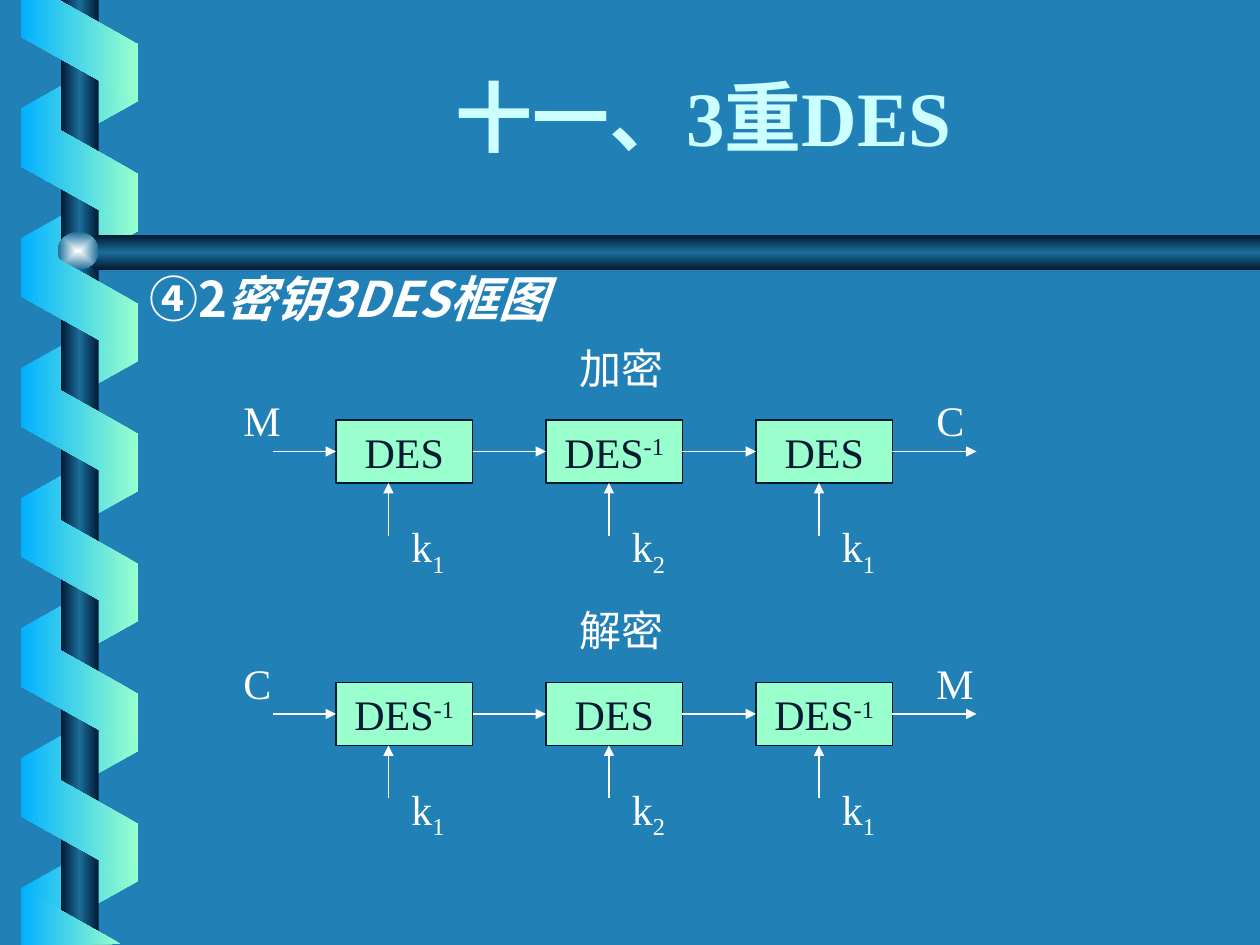
"""Builds the slide on two-key triple DES: encryption and decryption chains."""
from dataclasses import dataclass

from lxml import etree
from pptx import Presentation
from pptx import util as u
from pptx.dml.color import RGBColor
from pptx.enum import shapes, text
from pptx.oxml import parse_xml
from pptx.oxml.ns import nsdecls, qn


@dataclass(frozen=True)
class Theme:
    """Colours, fonts and type sizes of the slide."""
    ground: str = "2181B7"
    heading: str = "CCFFFF"
    light: str = "FFFFFF"
    dark: str = "001932"
    mint: str = "99FFCC"
    sky: str = "01B0FF"
    steel: str = "1C6D9A"
    glint: str = "FEFFFF"
    serif: str = "Times New Roman"
    condensed: str = "Roboto Condensed"
    cjk: str = "Noto Sans CJK SC"
    title_size: int = 44
    body_size: int = 28
    label_size: int = 24
    line_width: float = 0.75


THEME = Theme()
COLUMNS, ROWS = 120, 90
BLOCK_COLUMNS = (32, 52, 72)
KEY_COLUMNS = (37, 58, 78)
FLOW_COLUMNS = ((26, 32), (45, 52), (65, 72), (85, 93))
RIBBON_PITCH = 12.38


def cells(*counts):
    """Convert grid cells of a twelfth of an inch to lengths."""
    return [u.Inches(count / 12) for count in counts]


def paint_gradient(shape, stops, angle=None):
    """Fill a shape with a linear gradient, or one from its centre if no angle is given."""
    marks = "".join(
        f'<a:gs pos="{place * 1000}"><a:srgbClr val="{color}"/></a:gs>' for place, color in stops)
    if angle is None:
        course = '<a:path path="rect"><a:fillToRect l="50000" t="50000" r="50000" b="50000"/></a:path>'
    else:
        course = f'<a:lin ang="{angle * 60000}" scaled="0"/>'
    shape.shadow.inherit = False
    shape.line.fill.background()
    shape.fill.solid()
    solid = shape._element.spPr.find(qn("a:solidFill"))
    solid.getparent().replace(solid, parse_xml(
        f'<a:gradFill {nsdecls("a")} rotWithShape="0"><a:gsLst>{marks}</a:gsLst>{course}</a:gradFill>'))


def add_preset(slide, kind, *box):
    """Add a preset shape on a box of grid cells."""
    return slide.shapes.add_shape(kind, *cells(*box))


def add_outline(slide, points):
    """Add a closed outline through grid points."""
    start, *rest = [cells(*point) for point in points]
    builder = slide.shapes.build_freeform(*start, scale=1.0)
    builder.add_line_segments(rest, close=True)
    return builder.convert_to_shape()


def add_ribbons(slide, first_row, count, in_front):
    """Add one evenly spaced side of the spiral ribbon."""
    colors = (THEME.mint, THEME.sky) if in_front else (THEME.sky, THEME.mint)
    for turn in range(count):
        ribbon = add_preset(slide, shapes.MSO_SHAPE.PARALLELOGRAM,
                            1.68, first_row + turn * RIBBON_PITCH, 11.76, 11.16)
        ribbon.adjustments[0] = 0.56
        ribbon.rotation = 270 if in_front else 90
        if not in_front:
            ribbon._element.spPr.xfrm.set("flipH", "1")
        paint_gradient(ribbon, zip((0, 100), colors), 180)


def add_ornament(slide):
    """Add the spiral, its spine and the rail below the title."""
    metal = ((0, THEME.dark), (50, THEME.steel), (100, THEME.dark))
    add_ribbons(slide, 4.4, 7, False)
    spine = add_preset(slide, shapes.MSO_SHAPE.RECTANGLE, 5.8, 0, 3.6, ROWS)
    paint_gradient(spine, metal, 180)
    rail = add_outline(slide, ((COLUMNS, 22.4), (9.1, 22.4), (7.2, 24), (9.1, 25.7), (COLUMNS, 25.7)))
    paint_gradient(rail, metal, 90)
    knob = add_preset(slide, shapes.MSO_SHAPE.OVAL, 5.5, 22.1, 3.9, 3.6)
    paint_gradient(knob, ((0, THEME.glint), (100, THEME.steel)))
    add_ribbons(slide, 10.6, 6, True)
    ribbon_ends = (
        ((2, 0), (2, 3.5), (13.1, 9.7), (13.1, 4.2), (5.6, 0)),
        ((11.5, 89.9), (2, 84.6), (2, ROWS)),
    )
    for points in ribbon_ends:
        paint_gradient(add_outline(slide, points), ((0, THEME.mint), (100, THEME.sky)), 180)


def style_run(run, size, color, font=THEME.serif, bold=False, italic=False, baseline=0):
    """Format a run, with its East Asian font and baseline shift in percent."""
    run.font.size = u.Pt(size)
    run.font.color.rgb = RGBColor.from_string(color)
    run.font.name = font
    run.font.bold, run.font.italic = bold, italic
    properties = run._r.get_or_add_rPr()
    properties.find(qn("a:latin")).addnext(
        parse_xml(f'<a:ea {nsdecls("a")} typeface="{THEME.cjk}"/>'))
    if baseline:
        properties.set("baseline", str(baseline * 1000))


def write_runs(paragraph, pieces, size, color):
    """Write runs given as pairs of wording and formats."""
    for wording, formats in pieces:
        run = paragraph.add_run()
        run.text = wording
        style_run(run, size, color, **formats)


def place_placeholder(holder, box, anchor):
    """Move a placeholder to a box of grid cells and return its first paragraph."""
    holder.left, holder.top, holder.width, holder.height = cells(*box)
    holder.text_frame.auto_size = text.MSO_AUTO_SIZE.NONE
    holder.text_frame.vertical_anchor = anchor
    return holder.text_frame.paragraphs[0]


def fill_headings(slide):
    """Fill the title and the body line."""
    title = place_placeholder(slide.shapes.title, (16, 5, 102, 11), text.MSO_ANCHOR.BOTTOM)
    title.alignment = text.PP_ALIGN.CENTER
    write_runs(title, (("十一", {"bold": True}),
                       ("、", {"bold": True, "font": THEME.condensed}),
                       ("3重DES", {"bold": True})), THEME.title_size, THEME.heading)
    topic = place_placeholder(slide.placeholders[1], (13, 25, 107, 64), text.MSO_ANCHOR.TOP)
    topic.space_before = u.Pt(0)
    properties = topic._p.get_or_add_pPr()
    properties.set("marL", str(u.Inches(0.38)))
    properties.set("indent", str(-u.Inches(0.38)))
    etree.SubElement(properties, qn("a:buNone"))
    bold_cjk = {"bold": True, "font": THEME.cjk}
    write_runs(topic, (("④2", bold_cjk), ("密钥3DES框图", {**bold_cjk, "italic": True})),
               THEME.body_size, THEME.light)


def add_label(slide, box, wording, subscript=""):
    """Add a light label, with an optional subscript."""
    frame = slide.shapes.add_textbox(*cells(*box)).text_frame
    frame.word_wrap = True
    pieces = [(wording, {})] + ([(subscript, {"baseline": -25})] if subscript else [])
    write_runs(frame.paragraphs[0], pieces, THEME.label_size, THEME.light)


def add_block(slide, column, row, inverse):
    """Add a DES block, marked -1 when it is the inverse."""
    block = add_preset(slide, shapes.MSO_SHAPE.RECTANGLE, column, row, 13, 6)
    block.shadow.inherit = False
    block.fill.solid()
    block.fill.fore_color.rgb = RGBColor.from_string(THEME.mint)
    block.line.color.rgb = RGBColor.from_string(THEME.dark)
    block.line.width = u.Pt(THEME.line_width)
    frame = block.text_frame
    frame.word_wrap = False
    frame.vertical_anchor = text.MSO_ANCHOR.MIDDLE
    frame.paragraphs[0].alignment = text.PP_ALIGN.CENTER
    pieces = [("DES", {})] + ([("-1", {"baseline": 30})] if inverse else [])
    write_runs(frame.paragraphs[0], pieces, THEME.label_size, THEME.dark)


def add_arrow(slide, *ends):
    """Add an arrow between two grid points."""
    arrow = slide.shapes.add_connector(shapes.MSO_CONNECTOR.STRAIGHT, *cells(*ends))
    arrow.line.color.rgb = RGBColor.from_string(THEME.light)
    arrow.line.width = u.Pt(THEME.line_width)
    etree.SubElement(arrow.line._get_or_add_ln(), qn("a:tailEnd"), type="triangle")
    etree.SubElement(arrow._element.spPr, qn("a:effectLst"))


def add_chain(slide, row, heading, source, result, inverses):
    """Add one chain of three blocks with its keys, starting at a grid row."""
    for column, inverse in zip(BLOCK_COLUMNS, inverses):
        add_block(slide, column, row + 8, inverse)
    for start, end in FLOW_COLUMNS:
        add_arrow(slide, start, row + 11, end, row + 11)
    for column, key in zip(KEY_COLUMNS, "121"):
        add_arrow(slide, column, row + 19, column, row + 14)
        add_label(slide, (column + 1, row + 17, 8, 6.7), "k", key)
    add_label(slide, (54, row, 15, 6), heading)
    add_label(slide, (22, row + 5, 8, 6), source)
    add_label(slide, (88, row + 5, 8, 6), result)


def main():
    """Build and save the slide."""
    deck = Presentation()
    deck.slide_width, deck.slide_height = cells(COLUMNS, ROWS)
    slide = deck.slides.add_slide(deck.slide_layouts[1])
    slide.background.fill.solid()
    slide.background.fill.fore_color.rgb = RGBColor.from_string(THEME.ground)
    add_ornament(slide)
    fill_headings(slide)
    add_chain(slide, 32, "加密", "M", "C", (False, True, False))
    add_chain(slide, 57, "解密", "C", "M", (True, False, True))
    deck.save("out.pptx")


if __name__ == "__main__":
    main()
